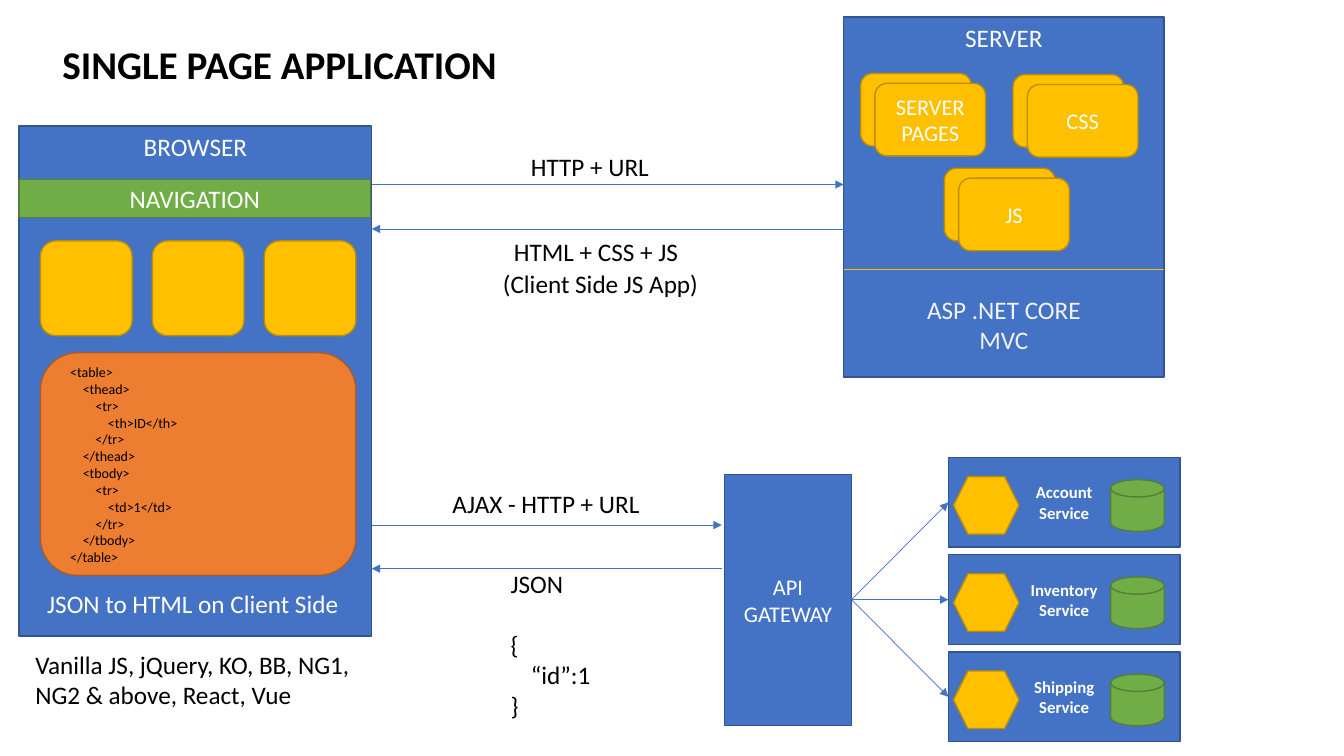
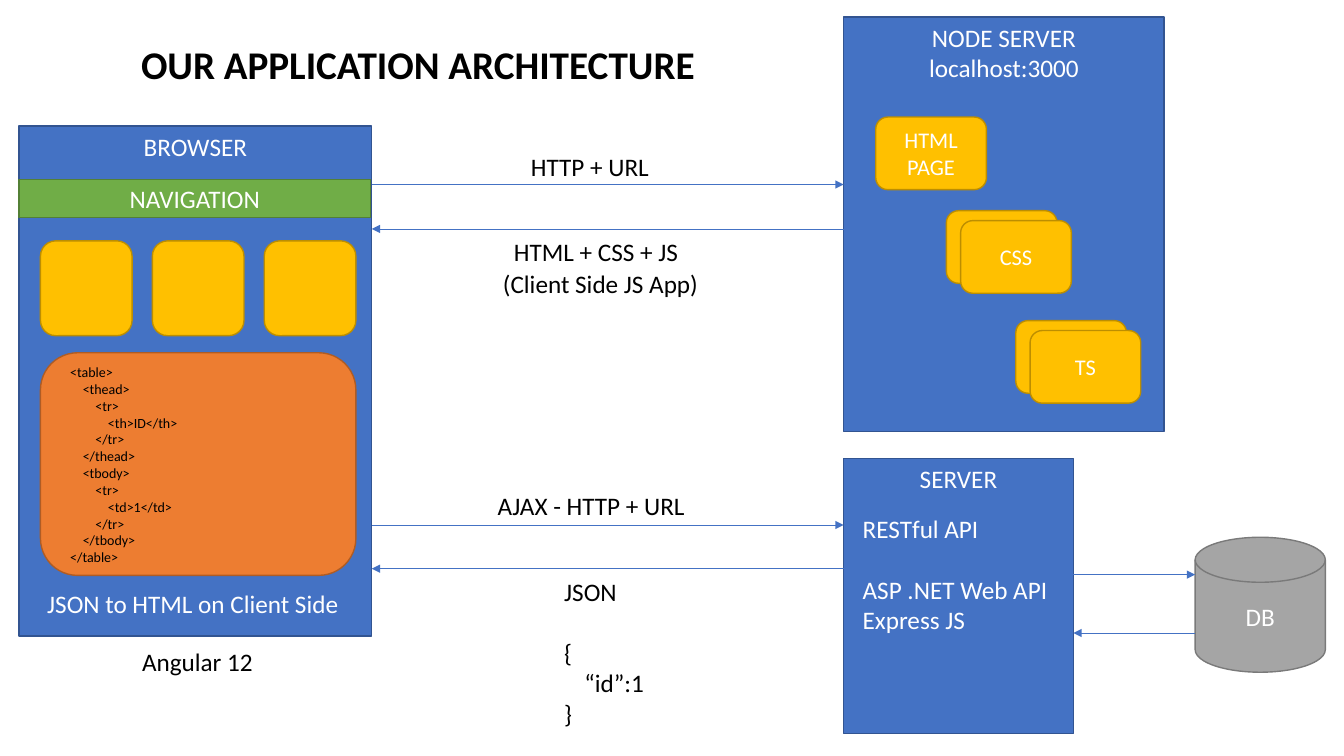
"""Builds two web application architecture slides."""
import pptx
import pptx.dml.color
import pptx.enum.shapes
import pptx.enum.text
import pptx.oxml.ns
import pptx.util
from lxml import etree

Cm, Pt = pptx.util.Cm, pptx.util.Pt
RGBColor = pptx.dml.color.RGBColor
SHAPE = pptx.enum.shapes.MSO_SHAPE
ANCHOR = pptx.enum.text.MSO_ANCHOR
ALIGN = pptx.enum.text.PP_ALIGN
qn = pptx.oxml.ns.qn

FONT = "Calibri"
BLACK = RGBColor(0x00, 0x00, 0x00)
WHITE = RGBColor(0xFF, 0xFF, 0xFF)
PALE = RGBColor(0xF2, 0xF2, 0xF2)
BLUE = RGBColor(0x44, 0x72, 0xC4)
GOLD = RGBColor(0xFF, 0xC0, 0x00)
GREEN = RGBColor(0x70, 0xAD, 0x47)
ORANGE = RGBColor(0xED, 0x7D, 0x31)
GRAY = RGBColor(0xA5, 0xA5, 0xA5)
OUTLINES = {
    BLUE: RGBColor(0x32, 0x54, 0x91),
    GOLD: RGBColor(0xBD, 0x8E, 0x00),
    GREEN: RGBColor(0x53, 0x80, 0x35),
    ORANGE: RGBColor(0xAF, 0x5C, 0x24),
    GRAY: RGBColor(0x7A, 0x7A, 0x7A),
}

BROWSER_LEFT, BROWSER_RIGHT = 0.48, 9.37
SERVER_LEFT, SERVER_TOP, SERVER_WIDTH = 21.26, 0.43, 8.08
PAGE_REQUEST_Y, PAGE_REPLY_Y = 4.65, 5.77
DATA_REQUEST_Y, DATA_REPLY_Y = 13.23, 14.33
CARD_WIDTH, CARD_HEIGHT = 2.79, 1.83
LINE_GAP = Pt(22)

TABLE_CODE = """<table>
    <thead>
        <tr>
            <th>ID</th>
        </tr>
    </thead>
    <tbody>
        <tr>
            <td>1</td>
        </tr>
    </tbody>
</table>"""


def format_text(tf, size, color, align, bold=False):
    """Format every paragraph of a text frame alike."""
    for p in tf.paragraphs:
        p.alignment = align
        p.font.size = Pt(size)
        for r in p.runs:
            r.font.name = FONT
            r.font.size = Pt(size)
            r.font.bold = bold
            r.font.color.rgb = color


def add_title(prs, text, left, width):
    """Add a title-only slide and place its title."""
    slide = prs.slides.add_slide(prs.slide_layouts[5])
    sp = slide.shapes.title
    sp.left, sp.top, sp.width, sp.height = Cm(left), Cm(0.9), Cm(width), Cm(1.45)
    tf = sp.text_frame
    tf.text = text
    tf.word_wrap = False
    tf.auto_size = pptx.enum.text.MSO_AUTO_SIZE.NONE
    tf.vertical_anchor = ANCHOR.TOP
    format_text(tf, 28, BLACK, ALIGN.LEFT, True)
    return slide


def add_box(slide, kind, left, top, width, height, fill, text="", size=18,
            anchor=ANCHOR.MIDDLE, bold=False):
    """Add a filled and outlined shape with centred white text."""
    sp = slide.shapes.add_shape(kind, Cm(left), Cm(top), Cm(width), Cm(height))
    sp.shadow.inherit = False
    sp.fill.solid()
    sp.fill.fore_color.rgb = fill
    sp.line.color.rgb = OUTLINES[fill]
    sp.line.width = Pt(1)
    if text:
        tf = sp.text_frame
        tf.text = text
        tf.vertical_anchor = anchor
        format_text(tf, size, WHITE, ALIGN.CENTER, bold)


def add_label(slide, text, left, top, width, height=1.02, size=18, color=BLACK,
              align=ALIGN.LEFT):
    """Add an unwrapped text box and return its text frame."""
    sp = slide.shapes.add_textbox(Cm(left), Cm(top), Cm(width), Cm(height))
    tf = sp.text_frame
    tf.text = text
    tf.word_wrap = False
    format_text(tf, size, color, align)
    return tf


def add_line(slide, x1, y1, x2, y2, color=BLUE, arrow=True):
    """Add a thin straight line, with an arrowhead at its end by default."""
    cxn = slide.shapes.add_connector(pptx.enum.shapes.MSO_CONNECTOR.STRAIGHT,
                                     Cm(x1), Cm(y1), Cm(x2), Cm(y2))
    cxn.line.color.rgb = color
    cxn.line.width = Pt(0.5)
    spPr = cxn._element.spPr
    if arrow:
        etree.SubElement(spPr.find(qn("a:ln")), qn("a:tailEnd"), type="triangle")
    etree.SubElement(spPr, qn("a:effectLst"))


def add_card(slide, left, top, text):
    """Add one gold card."""
    add_box(slide, SHAPE.ROUNDED_RECTANGLE, left, top, CARD_WIDTH, CARD_HEIGHT,
            GOLD, text, 16)


def add_card_stack(slide, left, top, text):
    """Add a labelled card with a blank one behind it."""
    add_card(slide, left, top, "")
    add_card(slide, left + 0.36, top + 0.25, text)


def add_server(slide, height, text):
    """Add the page server panel at the upper right."""
    add_box(slide, SHAPE.RECTANGLE, SERVER_LEFT, SERVER_TOP, SERVER_WIDTH, height,
            BLUE, text, anchor=ANCHOR.TOP)


def add_browser(slide):
    """Add the browser panel with its navigation, tiles and table code."""
    add_box(slide, SHAPE.RECTANGLE, BROWSER_LEFT, 3.18,
            BROWSER_RIGHT - BROWSER_LEFT, 12.85, BLUE, "BROWSER", anchor=ANCHOR.TOP)
    add_box(slide, SHAPE.RECTANGLE, BROWSER_LEFT, 4.52, 8.86, 0.97, GREEN, "NAVIGATION")
    for i in range(3):
        add_box(slide, SHAPE.ROUNDED_RECTANGLE, 1.02 + 2.82 * i, 6.07, 2.31, 2.39, GOLD)
    add_box(slide, SHAPE.ROUNDED_RECTANGLE, 1.02, 8.89, 7.95, 5.61, ORANGE)
    tf = add_label(slide, TABLE_CODE, 1.52, 9.04, 6.2, 5.38, size=10)
    tf.word_wrap = True
    add_label(slide, "JSON to HTML on Client Side", 0.94, 14.71, 7.95, color=WHITE)


def add_page_exchange(slide):
    """Add the page request and reply between browser and server."""
    add_line(slide, BROWSER_RIGHT, PAGE_REQUEST_Y, SERVER_LEFT, PAGE_REQUEST_Y)
    add_line(slide, SERVER_LEFT, PAGE_REPLY_Y, BROWSER_RIGHT, PAGE_REPLY_Y)
    add_label(slide, "HTTP + URL", 13.13, 3.68, 3.53)
    add_label(slide, "HTML + CSS + JS", 12.67, 5.82, 4.7, align=ALIGN.CENTER)
    tf = add_label(slide, "(Client Side JS App)", 11.91, 6.63, 6.45, align=ALIGN.CENTER)
    tf.word_wrap = True


def add_data_exchange(slide, right, request_left, request_top, json_left, json_top):
    """Add the data request and its JSON reply."""
    add_line(slide, BROWSER_RIGHT, DATA_REQUEST_Y, right, DATA_REQUEST_Y)
    add_line(slide, right, DATA_REPLY_Y, BROWSER_RIGHT, DATA_REPLY_Y)
    add_label(slide, "AJAX - HTTP + URL", request_left, request_top, 5.28)
    tf = add_label(slide, "JSON\n{\n“id”:1\n}", json_left, json_top, 2.54, 4.11)
    tf.paragraphs[1].space_before = LINE_GAP
    pPr = tf.paragraphs[2]._p.get_or_add_pPr()
    pPr.set("marL", str(Cm(0.51)))
    pPr.set("indent", "0")


def add_service(slide, left, top, name):
    """Add a service panel with its hexagon and database."""
    add_box(slide, SHAPE.RECTANGLE, left, top, 5.84, 2.26, BLUE,
            f"{name}\nService", 12, bold=True)
    add_box(slide, SHAPE.HEXAGON, left + 0.13, top + 0.48, 1.65, 1.45, GOLD)
    add_box(slide, SHAPE.FLOWCHART_MAGNETIC_DISK, left + 4.09, top + 0.56, 1.35, 1.3, GREEN)


def build_single_page(prs):
    """Build the single page application slide."""
    slide = add_title(prs, "SINGLE PAGE APPLICATION", 1.32, 11.58)
    add_server(slide, 9.07, "SERVER")
    for left, top, text in ((21.69, 1.85, "SERVER PAGES"), (25.53, 1.88, "CSS"),
                            (23.8, 4.24, "JS")):
        add_card_stack(slide, left, top, text)
    add_line(slide, SERVER_LEFT, 6.78, SERVER_LEFT + SERVER_WIDTH, 6.78, GOLD, arrow=False)
    add_label(slide, "ASP .NET CORE\nMVC", 23.09, 7.29, 4.42, 1.8,
              color=PALE, align=ALIGN.CENTER)
    add_page_exchange(slide)
    add_browser(slide)
    add_label(slide, "Vanilla JS, jQuery, KO, BB, NG1,\nNG2 & above, React, Vue",
              0.64, 16.23, 8.53, 1.8)
    add_box(slide, SHAPE.RECTANGLE, 18.26, 11.96, 3.2, 6.32, BLUE, "API GATEWAY", 16)
    add_data_exchange(slide, 18.19, 11.15, 12.19, 12.62, 14.2)
    for i, name in enumerate(("Account", "Inventory", "Shipping")):
        top = 11.53 + 2.45 * i
        add_service(slide, 23.9, top, name)
        add_line(slide, 21.46, 15.11, 23.9, top + 1.13)


def build_our_architecture(prs):
    """Build the slide of our own application architecture."""
    slide = add_title(prs, "OUR APPLICATION ARCHITECTURE", 3.3, 14.63)
    add_server(slide, 10.44, "NODE SERVER\nlocalhost:3000")
    add_card(slide, 22.07, 2.95, "HTML PAGE")
    add_card_stack(slide, 23.85, 5.31, "CSS")
    add_card_stack(slide, 25.6, 8.08, "TS")
    add_page_exchange(slide)
    add_browser(slide)
    add_label(slide, "Angular 12", 3.33, 16.15, 3.33)
    add_box(slide, SHAPE.FLOWCHART_MAGNETIC_DISK, 30.12, 13.54, 3.28, 3.4, GRAY, "DB")
    add_box(slide, SHAPE.RECTANGLE, SERVER_LEFT, 11.56, 5.79, 6.93, BLUE, "SERVER",
            anchor=ANCHOR.TOP)
    add_line(slide, 27.05, 14.48, 30.12, 14.48)
    add_line(slide, 30.12, 15.95, 27.05, 15.95)
    tf = add_label(slide, "RESTful API\nASP .NET Web API\nExpress JS",
                   21.49, 12.8, 5.21, 3.33, color=WHITE)
    tf.paragraphs[1].space_before = LINE_GAP
    add_data_exchange(slide, SERVER_LEFT, 12.29, 12.24, 13.97, 14.4)


def main():
    """Build and save the presentation."""
    prs = pptx.Presentation()
    prs.slide_width, prs.slide_height = Cm(33.87), Cm(19.05)
    build_single_page(prs)
    build_our_architecture(prs)
    prs.save("out.pptx")


if __name__ == "__main__":
    main()
